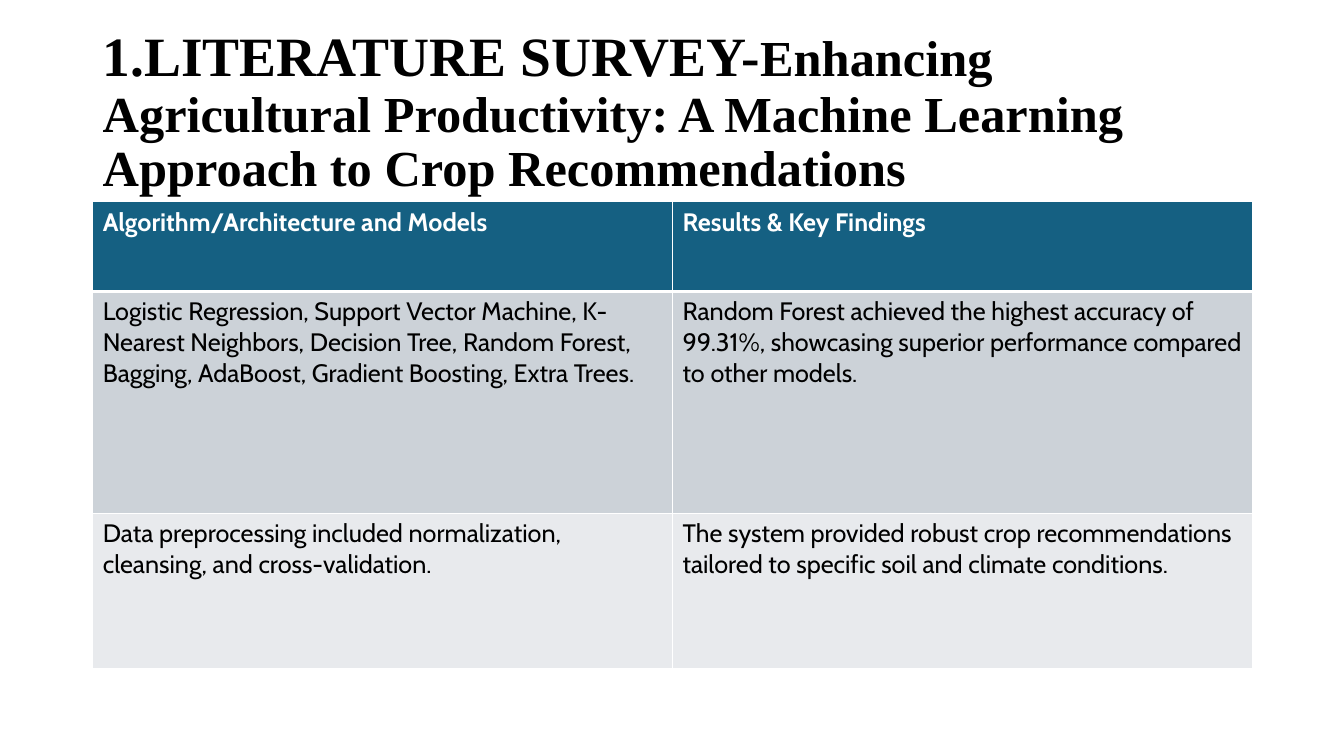
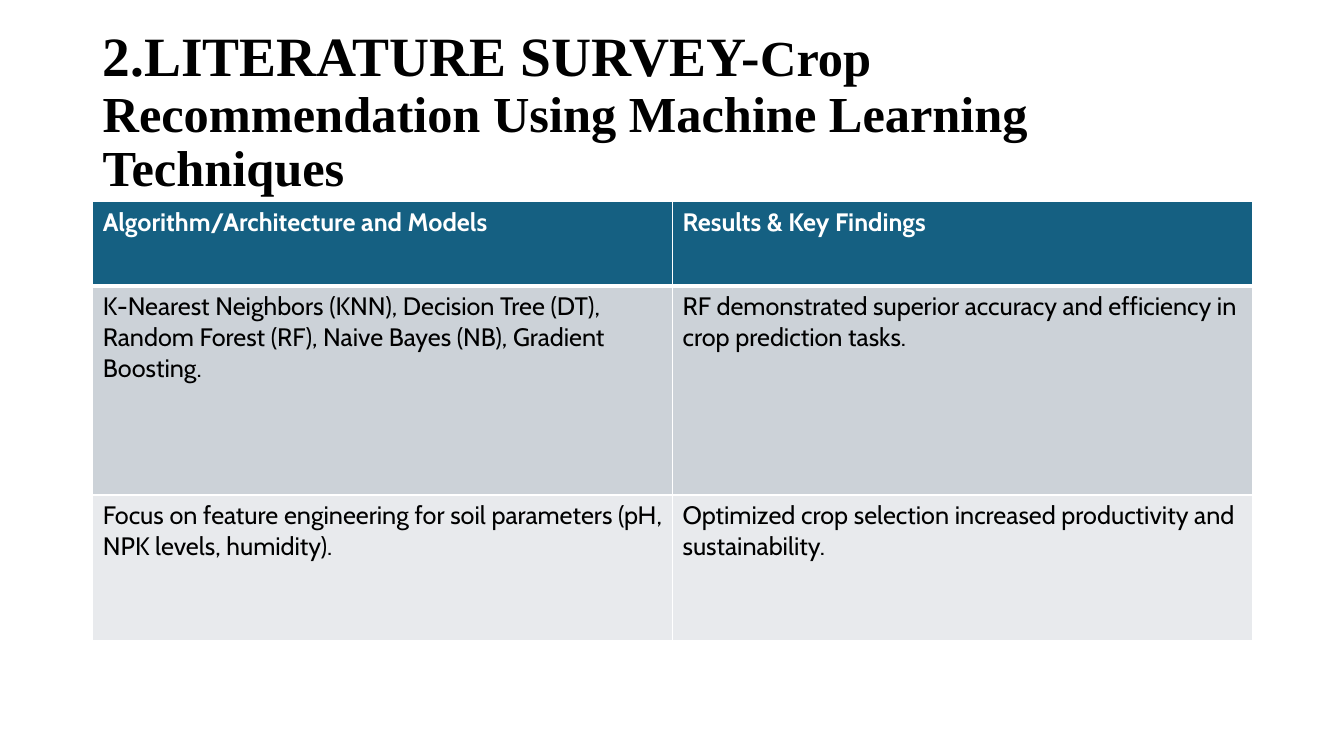
import dataclasses

import pptx
import pptx.dml.color
import pptx.enum.text
import pptx.oxml.ns
import pptx.util
import lxml.etree


@dataclasses.dataclass(frozen=True)
class Theme:
    width: float = 13.33
    height: float = 7.5
    margin: float = 0.92
    column: float = 5.75
    title_top: float = 0.4
    title_height: float = 1.45
    table_top: float = 2
    row_weights: tuple = (0.58, 1.43, 1)
    title_font: str = "Times New Roman"
    body_font: str = "Cabin"
    section_size: float = 39.6
    title_size: float = 36
    body_size: float = 18
    ink: str = "000000"
    paper: str = "FFFFFF"
    header_fill: str = "156082"
    band_fills: tuple = ("CCD2D8", "E8EAED")
    rule: float = 1
    header_rule: float = 3


def color(value):
    return pptx.dml.color.RGBColor.from_string(value)


def add_text(paragraph, text, *, font, size, ink, bold=False):
    run = paragraph.add_run()
    run.text = text
    run.font.name = font
    run.font.size = pptx.util.Pt(size)
    run.font.color.rgb = color(ink)
    run.font.bold = bold


def add_border(cell, side, ink, points):
    properties = cell._tc.get_or_add_tcPr()
    name = pptx.oxml.ns.qn
    line = lxml.etree.SubElement(properties, name(f"a:ln{side}"), w=str(pptx.util.Pt(points)))
    fill = lxml.etree.SubElement(line, name("a:solidFill"))
    lxml.etree.SubElement(fill, name("a:srgbClr"), val=ink)


class Deck:
    def __init__(self, theme):
        self.theme = theme
        self.presentation = pptx.Presentation()
        self.presentation.slide_width = pptx.util.Inches(theme.width)
        self.presentation.slide_height = pptx.util.Inches(theme.height)
        self.slide = None

    def add_slide(self):
        self.slide = self.presentation.slides.add_slide(self.presentation.slide_layouts[6])

    def frame(self, top, height, columns=2):
        lengths = (self.theme.margin, top, columns * self.theme.column, height)
        return [pptx.util.Inches(length) for length in lengths]

    def add_title(self, section, title):
        theme = self.theme
        shape = self.slide.shapes.add_textbox(*self.frame(theme.title_top, theme.title_height))
        text_frame = shape.text_frame
        text_frame.word_wrap = True
        text_frame.auto_size = pptx.enum.text.MSO_AUTO_SIZE.NONE
        text_frame.vertical_anchor = pptx.enum.text.MSO_ANCHOR.MIDDLE
        paragraph = text_frame.paragraphs[0]
        paragraph.line_spacing = 0.9
        for text, size in ((section, theme.section_size), (title, theme.title_size)):
            add_text(paragraph, text, font=theme.title_font, size=size, ink=theme.ink, bold=True)

    def add_table(self, rows, height):
        theme = self.theme
        columns = len(rows[0])
        frame = self.frame(theme.table_top, height, columns)
        table = self.slide.shapes.add_table(len(rows), columns, *frame).table
        for column in table.columns:
            column.width = pptx.util.Inches(theme.column)
        for row, weight in zip(table.rows, theme.row_weights):
            row.height = pptx.util.Inches(height * weight / sum(theme.row_weights))
        for row_index, texts in enumerate(rows):
            for column_index, text in enumerate(texts):
                self.fill_cell(table.cell(row_index, column_index), text, row_index)

    def fill_cell(self, cell, text, row_index):
        theme = self.theme
        header = row_index == 0
        fill = theme.header_fill if header else theme.band_fills[(row_index - 1) % 2]
        for side in "LRTB":
            heavy = (side == "B" and header) or (side == "T" and row_index == 1)
            add_border(cell, side, theme.paper, theme.header_rule if heavy else theme.rule)
        cell.fill.solid()
        cell.fill.fore_color.rgb = color(fill)
        add_text(
            cell.text_frame.paragraphs[0],
            text,
            font=theme.body_font,
            size=theme.body_size,
            ink=theme.paper if header else theme.ink,
            bold=header,
        )


HEADINGS = ("Algorithm/Architecture and Models", "Results & Key Findings")

SURVEYS = (
    (
        "Enhancing Agricultural Productivity: A Machine Learning Approach to Crop Recommendations",
        4.63,
        (
            (
                "Logistic Regression, Support Vector Machine, K-Nearest Neighbors, Decision Tree, "
                "Random Forest, Bagging, AdaBoost, Gradient Boosting, Extra Trees.",
                "Random Forest achieved the highest accuracy of 99.31%, showcasing superior "
                "performance compared to other models.",
            ),
            (
                "Data preprocessing included normalization, cleansing, and cross-validation.",
                "The system provided robust crop recommendations tailored to specific soil and "
                "climate conditions.",
            ),
        ),
    ),
    (
        "Crop Recommendation Using Machine Learning Techniques",
        4.36,
        (
            (
                "K-Nearest Neighbors (KNN), Decision Tree (DT), Random Forest (RF), "
                "Naive Bayes (NB), Gradient Boosting.",
                "RF demonstrated superior accuracy and efficiency in crop prediction tasks.",
            ),
            (
                "Focus on feature engineering for soil parameters (pH, NPK levels, humidity).",
                "Optimized crop selection increased productivity and sustainability.",
            ),
        ),
    ),
)


def main():
    deck = Deck(Theme())
    for number, (title, table_height, findings) in enumerate(SURVEYS, start=1):
        deck.add_slide()
        deck.add_title(f"{number}.LITERATURE SURVEY-", title)
        deck.add_table((HEADINGS, *findings), table_height)
    deck.presentation.save("out.pptx")


if __name__ == "__main__":
    main()
